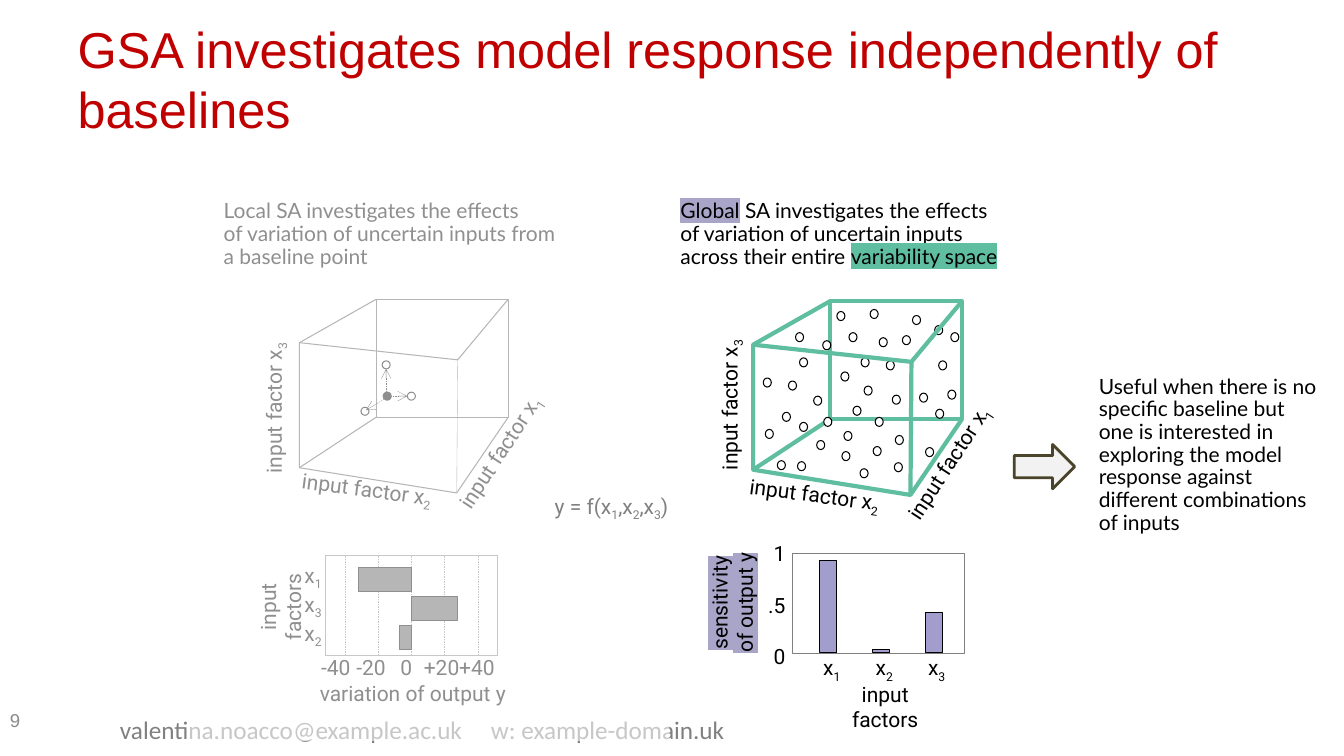
from dataclasses import dataclass
from typing import NamedTuple, Optional

from lxml.etree import SubElement
from pptx import Presentation
from pptx.chart.data import CategoryChartData
from pptx.dml.color import RGBColor
from pptx.enum.chart import XL_CHART_TYPE as ChartType
from pptx.enum.dml import MSO_LINE
from pptx.enum.shapes import MSO_CONNECTOR, MSO_SHAPE as Preset
from pptx.enum.text import MSO_ANCHOR as Anchor, MSO_AUTO_SIZE, PP_ALIGN as Align
from pptx.oxml import parse_xml
from pptx.oxml.ns import nsdecls, qn
from pptx.util import Inches, Pt

BLACK = RGBColor(0x00, 0x00, 0x00)
WHITE = RGBColor(0xFF, 0xFF, 0xFF)
RED = RGBColor(0xC0, 0x00, 0x00)
GRAY = RGBColor(0x80, 0x80, 0x80)
NUMBER_GRAY = RGBColor(0x8C, 0x8C, 0x8C)
DARK_GRAY = RGBColor(0x59, 0x59, 0x59)
PALE_GRAY = RGBColor(0xF2, 0xF2, 0xF2)
OLIVE = RGBColor(0x4A, 0x45, 0x2A)
GREEN = RGBColor(0x5F, 0xBD, 0xA0)
PURPLE = RGBColor(0xA1, 0x9E, 0xCE)
HIGHLIGHT_PURPLE = RGBColor(0xA8, 0xA5, 0xC9)


class Box(NamedTuple):
    left: float
    top: float
    width: float
    height: float


class Run(NamedTuple):
    text: str
    subscript: bool = False
    highlight: Optional[RGBColor] = None


@dataclass
class Label:
    box: Box
    runs: list[Run]
    align: Align = Align.CENTER
    rotation: float = 0
    font: str = "Roboto"
    size: float = 15
    color: RGBColor = BLACK
    anchor: Anchor = Anchor.MIDDLE
    side_insets: tuple[float, float] = (0, 0)
    wrap: bool = True
    line_spacing: float = 1.0


@dataclass
class Cube:
    """A cube drawn from the top left corner of its back face."""
    x: float
    y: float
    color: RGBColor
    line_width: float

    def points(self, *offsets: tuple[float, float]) -> list[tuple[float, float]]:
        return [(self.x + dx, self.y + dy) for dx, dy in offsets]


class Bars(NamedTuple):
    box: Box
    kind: ChartType
    values: dict[str, float]
    minimum: float
    maximum: float
    gap: int
    color: RGBColor


# Cube corners, measured from the top left corner of the back face
BACK_TOP_LEFT, BACK_TOP_RIGHT = (0, 0), (1.31, 0)
BACK_BOTTOM_LEFT, BACK_BOTTOM_RIGHT = (0, 1.17), (1.31, 1.17)
FRONT_TOP_LEFT, FRONT_TOP_RIGHT = (-0.76, 0.43), (0.81, 0.6)
FRONT_BOTTOM_LEFT, FRONT_BOTTOM_RIGHT = (-0.76, 1.67), (0.8, 1.92)

SAMPLES = [
    (7.89, 3.3), (8.63, 3.07), (9.4, 3.87), (8.66, 4.43), (9.28, 4.06), (9.27, 3.23),
    (8.42, 3.3), (9.31, 3.58), (9.43, 3.3), (8.57, 3.83), (8.16, 3.38), (7.82, 3.78),
    (8.95, 3.33), (8.68, 4.14), (7.57, 3.75), (8.34, 3.69), (8.88, 4.32), (8.85, 3.92),
    (8.54, 3.55), (8.46, 4.03), (8.35, 4.48), (8.1, 4.37), (9.18, 4.44), (8.37, 4.28),
    (7.91, 4.58), (8.07, 3.93), (7.93, 3.55), (7.59, 4.26), (8.17, 4.14), (8.53, 4.65),
    (7.76, 4.09), (7.93, 4.19), (7.71, 4.57), (8.3, 3.09), (8.72, 3.35), (9.05, 3.13),
    (8.79, 3.58), (9.12, 3.9), (8.87, 4.59)]

presentation = Presentation()
presentation.slide_width, presentation.slide_height = Inches(13.33), Inches(7.5)
slide = presentation.slides.add_slide(presentation.slide_layouts[5])
shapes = slide.shapes


def emu(values) -> list[int]:
    return [Inches(value) for value in values]


def style(shape, fill: Optional[RGBColor], line: Optional[RGBColor], width: float = 0.75):
    shape.shadow.inherit = False
    if fill is None:
        shape.fill.background()
    else:
        shape.fill.solid()
        shape.fill.fore_color.rgb = fill
    if line is None:
        shape.line.fill.background()
    else:
        shape.line.color.rgb = line
        shape.line.width = Pt(width)
    return shape


def add_preset(preset: Preset, box: Box, fill, line, width: float = 0.75):
    return style(shapes.add_shape(preset, *emu(box)), fill, line, width)


def add_line(start, end, color: RGBColor, width: float, dashed=False, arrow=False):
    connector = shapes.add_connector(MSO_CONNECTOR.STRAIGHT, *emu(start), *emu(end))
    connector.line.color.rgb = color
    connector.line.width = Pt(width)
    if dashed:
        connector.line.dash_style = MSO_LINE.DASH
    if arrow:
        SubElement(connector.line._get_or_add_ln(), qn("a:tailEnd"), type="arrow")
    SubElement(connector._element.spPr, qn("a:effectLst"))
    return connector


def add_path(points, color: RGBColor, width: float) -> None:
    start, *rest = [emu(point) for point in points]
    builder = shapes.build_freeform(*start)
    builder.add_line_segments(rest, close=False)
    style(builder.convert_to_shape(), None, color, width)


def add_label(label: Label) -> None:
    text_box = shapes.add_textbox(*emu(label.box))
    text_box.rotation = label.rotation
    frame = text_box.text_frame
    frame.word_wrap = label.wrap
    frame.vertical_anchor = label.anchor
    frame.margin_left, frame.margin_right = emu(label.side_insets)
    paragraph = frame.paragraphs[0]
    paragraph.alignment = label.align
    paragraph.line_spacing = label.line_spacing
    for part in label.runs:
        for index, line in enumerate(part.text.split("\v")):
            if index:
                paragraph.add_line_break()
            run = paragraph.add_run()
            run.text = line
            font = run.font
            font.name, font.size, font.color.rgb = label.font, Pt(label.size), label.color
            properties = run._r.get_or_add_rPr()
            if part.subscript:
                properties.set("baseline", "-25000")
            if part.highlight is not None:
                properties.find(qn("a:solidFill")).addnext(parse_xml(
                    f'<a:highlight {nsdecls("a")}><a:srgbClr val="{part.highlight}"/></a:highlight>'))


def add_note(box: Box, *runs: Run) -> None:
    add_label(Label(box, list(runs), Align.LEFT, font="Lato", anchor=Anchor.TOP,
                    side_insets=(0.1, 0.1), line_spacing=0.9))


def indexed(text: str, index: int) -> list[Run]:
    return [Run(text), Run(str(index), subscript=True)]


def add_axis_name(index: int, box: Box, rotation: float) -> None:
    add_label(Label(box, indexed("input factor x", index), Align.RIGHT, rotation,
                    side_insets=(0, 0.1)))


def add_back_edges(cube: Cube) -> None:
    add_path(cube.points(BACK_TOP_LEFT, FRONT_TOP_LEFT, FRONT_BOTTOM_LEFT, BACK_BOTTOM_LEFT),
             cube.color, cube.line_width)
    add_preset(Preset.RECTANGLE, Box(cube.x, cube.y, *BACK_BOTTOM_RIGHT), None,
               cube.color, cube.line_width)


def add_front_edges(cube: Cube, upright_width: float) -> None:
    for corners in ((FRONT_BOTTOM_LEFT, FRONT_BOTTOM_RIGHT, BACK_BOTTOM_RIGHT),
                    (BACK_TOP_RIGHT, FRONT_TOP_RIGHT, FRONT_TOP_LEFT)):
        add_path(cube.points(*corners), cube.color, cube.line_width)
    add_line(*cube.points(FRONT_BOTTOM_RIGHT, FRONT_TOP_RIGHT), cube.color, upright_width)


def add_bars(bars: Bars) -> None:
    """Draw only the bars of a chart, filling the whole box."""
    data = CategoryChartData()
    data.categories = list(bars.values)
    data.add_series("y", list(bars.values.values()))
    chart = shapes.add_chart(bars.kind, *emu(bars.box), data).chart
    chart.has_legend = chart.has_title = False
    chart.font.name, chart.font.size, chart.font.color.rgb = "Roboto", Pt(15), BLACK
    chart.value_axis.minimum_scale, chart.value_axis.maximum_scale = bars.minimum, bars.maximum
    chart.value_axis.has_major_gridlines = False
    chart.category_axis.reverse_order = bars.kind == ChartType.BAR_CLUSTERED
    chart.value_axis.visible = chart.category_axis.visible = False
    plot = chart.plots[0]
    plot.gap_width, plot.vary_by_categories = bars.gap, False
    series = plot.series[0]
    series.invert_if_negative = False
    series.format.fill.solid()
    series.format.fill.fore_color.rgb = bars.color
    series.format.line.color.rgb = BLACK
    series.format.line.width = Pt(0.75)
    no_fill = (f'<c:spPr {nsdecls("c", "a")}><a:noFill/><a:ln><a:noFill/></a:ln></c:spPr>')
    chart_element = chart.element.find(qn("c:chart"))
    chart_element.addnext(parse_xml(no_fill))
    plot_area = chart_element.find(qn("c:plotArea"))
    plot_area.append(parse_xml(no_fill))
    for layout in plot_area.findall(qn("c:layout")):
        plot_area.remove(layout)
    settings = {"layoutTarget": "inner", "xMode": "edge", "yMode": "edge",
                "x": 0, "y": 0, "w": 1, "h": 1}
    items = "".join(f'<c:{name} val="{value}"/>' for name, value in settings.items())
    plot_area.insert(0, parse_xml(
        f'<c:layout {nsdecls("c")}><c:manualLayout>{items}</c:manualLayout></c:layout>'))


# Title, footer and slide number
title = shapes.title
title.left, title.top, title.width, title.height = emu((0.67, 0, 12, 1.55))
title_frame = title.text_frame
title_frame.text = "GSA investigates model response independently of baselines"
title_frame.auto_size = MSO_AUTO_SIZE.NONE
title_frame.vertical_anchor = Anchor.MIDDLE
title_frame.paragraphs[0].alignment = Align.LEFT
title_font = title_frame.paragraphs[0].runs[0].font
title_font.name, title_font.size, title_font.color.rgb = "Arial", Pt(36), RED
for left, width, text in ((1.19, 3.4, "valentina.noacco@example.ac.uk"),
                          (4.87, 2.4, "w: example-domain.uk")):
    add_label(Label(Box(left, 7.04, width, 0.4), [Run(text)], Align.LEFT,
                    font="Calibri", size=18, color=GRAY))
add_label(Label(Box(0, 6.94, 3.11, 0.4), [Run("9")], Align.LEFT, font="Arial", size=13.3,
                color=NUMBER_GRAY, side_insets=(0.1, 0.1)))

# Global analysis
global_cube = Cube(8.23, 2.99, GREEN, 3)
add_back_edges(global_cube)
for x, y in SAMPLES:
    add_preset(Preset.OVAL, Box(x, y, 0.08, 0.09), WHITE, BLACK)
add_front_edges(global_cube, 3)
add_axis_name(3, Box(6.36, 3.99, 1.78, 0.35), 270)
add_axis_name(2, Box(7.16, 4.8, 1.66, 0.22), 7.4)
add_axis_name(1, Box(8.65, 4.4, 1.52, 0.42), 303.2)
add_preset(Preset.RECTANGLE, Box(7.86, 5.49, 1.7, 0.99), None, GRAY, 0.25)
add_bars(Bars(Box(7.95, 5.49, 1.58, 0.99), ChartType.COLUMN_CLUSTERED,
              {"x1": 0.93, "x2": 0.03, "x3": 0.4}, 0, 1, 209, PURPLE))
for position in range(3):
    add_label(Label(Box(8 + 0.52 * position, 6.52, 0.5, 0.24), indexed("x", position + 1)))
    add_label(Label(Box(7.29, 5.37 + 0.51 * position, 0.5, 0.24),
                    [Run(("1", ".5", "0")[position])], Align.RIGHT))
add_label(Label(Box(6.58, 5.8, 1.36, 0.36),
                [Run("sensitivity\vof output y", highlight=HIGHLIGHT_PURPLE)], rotation=270))
add_label(Label(Box(8.38, 6.76, 0.8, 0.5), [Run("input factors")]))
add_note(Box(6.65, 1.94, 4.28, 0.86), Run("Global", highlight=HIGHLIGHT_PURPLE),
         Run(" SA investigates the effects \vof variation of uncertain inputs\vacross their entire "),
         Run("variability space", highlight=GREEN))

# Local analysis
local_cube = Cube(3.73, 2.97, DARK_GRAY, 0.75)
add_back_edges(local_cube)
add_front_edges(local_cube, 0.25)
for x, y, fill in ((3.79, 3.58, WHITE), (4.04, 3.89, WHITE), (3.58, 4.04, WHITE),
                   (3.8, 3.89, BLACK)):
    add_preset(Preset.OVAL, Box(x, y, 0.08, 0.08), fill, BLACK)
for start, end in (((3.83, 3.89), (3.83, 3.66)), ((3.87, 3.93), (4.04, 3.93)),
                   ((3.81, 3.96), (3.63, 4.07))):
    add_line(start, end, BLACK, 0.25, dashed=True, arrow=True)
add_axis_name(3, Box(1.98, 3.93, 1.5, 0.25), 270)
add_axis_name(2, Box(2.7, 4.74, 1.68, 0.23), 7.4)
add_axis_name(1, Box(4.16, 4.36, 1.57, 0.33), 303.2)
variation_frame = add_preset(Preset.RECTANGLE, Box(3.23, 5.51, 1.7, 0.99), None, GRAY, 0.25)
for position, tick in enumerate(("-40", "-20", "0", "+20", "+40")):
    x = 4.08 + 0.33 * (position - 2)
    gridline = add_line((x, 6.5), (x, 5.51), GRAY, 0.25, dashed=True)
    if tick == "0":
        gridline.begin_connect(variation_frame, 2)
        gridline.end_connect(variation_frame, 0)
    add_label(Label(Box(3.08 + 0.35 * position, 6.5, 0.5, 0.24), [Run(tick)]))
add_bars(Bars(Box(3.23, 5.61, 1.7, 0.86), ChartType.BAR_CLUSTERED,
              {"x1": -32, "x3": 28, "x2": -7}, -52, 52, 21, DARK_GRAY))
for position, index in enumerate((1, 3, 2)):
    add_label(Label(Box(2.81, 5.52 + 0.29 * position, 0.38, 0.4), indexed("x", index), Align.RIGHT))
add_label(Label(Box(3.07, 6.75, 2.05, 0.26), [Run("variation of output y")]))
add_label(Label(Box(2.38, 5.77, 0.8, 0.5), [Run("input factors")], rotation=270))
add_note(Box(2.12, 1.94, 4.15, 1.09), Run(
    "Local SA investigates the effects\vof variation of uncertain inputs from\va baseline point"))

# Veil that fades the local analysis
veil = add_preset(Preset.RECTANGLE, Box(1.87, 1.84, 4.77, 5.51), WHITE, None)
SubElement(veil._element.spPr.find(qn("a:solidFill"))[0], qn("a:alpha"), val="56000")

# Model and conclusion
add_label(Label(Box(4.8, 4.64, 2.53, 0.8),
                [*indexed("y = f(x", 1), *indexed(",x", 2), *indexed(",x", 3), Run(")")],
                color=GRAY))
add_note(Box(10.8, 3.68, 2.38, 2.32), Run(
    "Useful when there is no specific baseline but one is interested in exploring "
    "the model response against different combinations of inputs"))
add_preset(Preset.RIGHT_ARROW, Box(10.06, 4.41, 0.6, 0.44), PALE_GRAY, OLIVE, 2)

presentation.save("out.pptx")
